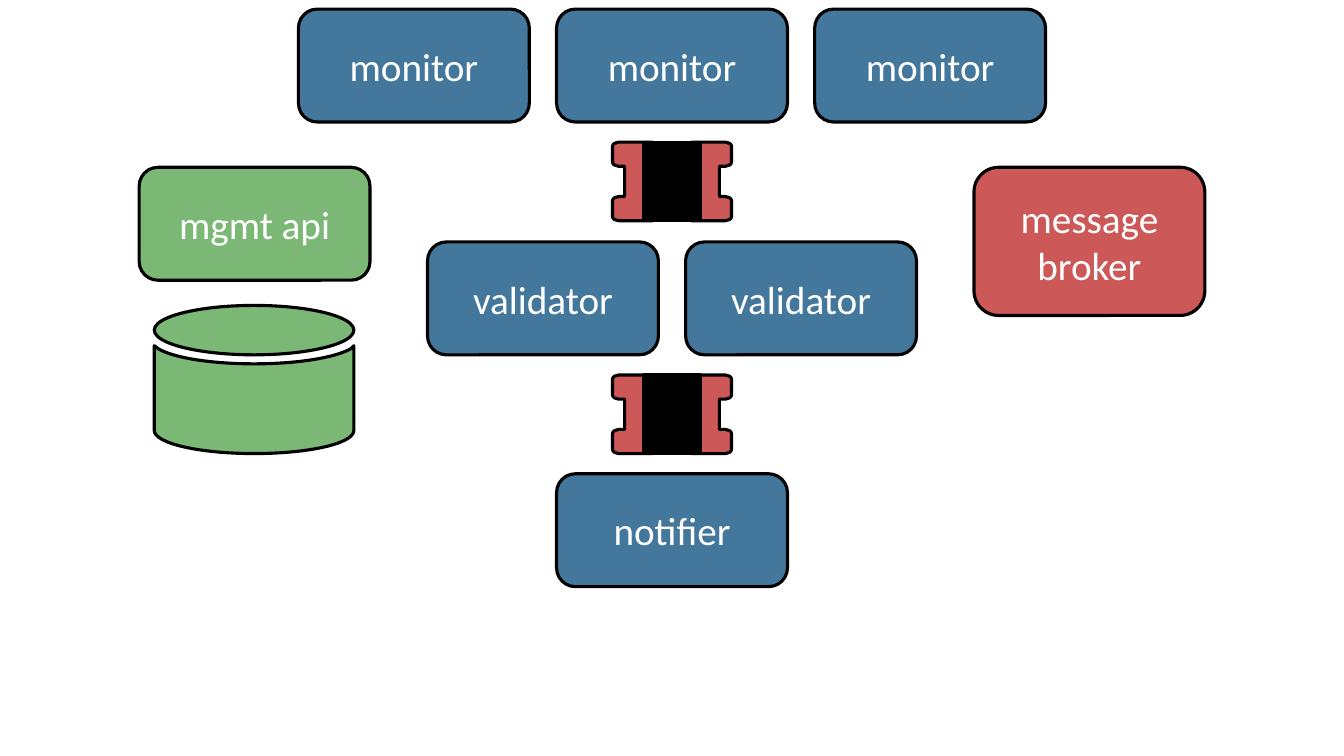
from dataclasses import dataclass

from lxml import etree
from pptx import Presentation
from pptx import util as u
from pptx.dml.color import RGBColor
from pptx.enum import shapes, text
from pptx.oxml import ns

Point = tuple[float, float]


@dataclass(frozen=True)
class Theme:
    blue: str = "43779B"
    green: str = "7BB876"
    red: str = "CC5858"
    black: str = "000000"
    white: str = "FFFFFF"
    font: str = "Calibri"
    text_size: int = 28
    line_width: float = 2.25


@dataclass(frozen=True)
class Node:
    label: str
    left: float
    top: float
    color: str
    height: float = 1.12


@dataclass(frozen=True)
class Tier:
    label: str
    count: int
    top: float


@dataclass(frozen=True)
class Contour:
    points: list[Point]
    segment_sizes: list[int]

    def placed(self, left: float, top: float, side: int = 1) -> "Contour":
        points = [(left + side * x, top + y) for x, y in self.points]
        return Contour(points, self.segment_sizes)


THEME = Theme()
SLIDE_WIDTH = 13.33
CENTER = SLIDE_WIDTH / 2
NODE_WIDTH = 2.29
NODE_PITCH = 2.56
QUEUE_OFFSET = 1.71

TIERS = [
    Tier("monitor", 3, 0.09),
    Tier("validator", 2, 2.4),
    Tier("notifier", 1, 4.7),
]
SIDE_NODES = [
    Node("mgmt api", 1.38, 1.66, THEME.green),
    Node("message broker", 9.66, 1.66, THEME.red, 1.47),
]

FLANGE_TOP = [
    (0.19, -0.39), (0.53, -0.39),
    (0.56, -0.39), (0.59, -0.37), (0.59, -0.35),
    (0.59, -0.19),
    (0.59, -0.17), (0.56, -0.15), (0.53, -0.15),
    (0.47, -0.15),
]
FLANGE = Contour(
    FLANGE_TOP + [(x, -y) for x, y in reversed(FLANGE_TOP)],
    [1, 3, 1, 3, 1, 1, 1, 3, 1, 3, 1],
)
DATABASE_WALL = Contour(
    [
        (1.98, 0.4), (1.98, 1.24),
        (1.98, 1.37), (1.54, 1.47), (0.99, 1.47),
        (0.45, 1.47), (0, 1.37), (0, 1.24),
        (0, 0.4), (0.04, 0.43),
        (0.19, 0.52), (0.56, 0.58), (0.99, 0.58),
        (1.42, 0.58), (1.79, 0.52), (1.95, 0.43),
    ],
    [1, 3, 3, 1, 1, 3, 3],
)


def paint(shape, color: str) -> None:
    shape.shadow.inherit = False
    shape.fill.solid()
    shape.fill.fore_color.rgb = RGBColor.from_string(color)
    shape.line.color.rgb = RGBColor.from_string(THEME.black)
    shape.line.width = u.Pt(THEME.line_width)


def add_preset(page, kind, left: float, top: float, width: float, height: float, color: str):
    shape = page.shapes.add_shape(
        kind, u.Inches(left), u.Inches(top), u.Inches(width), u.Inches(height)
    )
    paint(shape, color)
    return shape


def curve_segments(shape, sizes: list[int]) -> None:
    steps = iter(list(shape.element.iter(ns.qn("a:lnTo"))))
    for size in sizes:
        group = [next(steps) for _ in range(size)]
        if size == 3:
            curve = etree.SubElement(group[0].getparent(), ns.qn("a:cubicBezTo"))
            group[0].addprevious(curve)
            for step in group:
                curve.append(step[0])
                step.getparent().remove(step)


def add_outline(page, contours: list[Contour], color: str) -> None:
    outlines = [[(u.Inches(x), u.Inches(y)) for x, y in item.points] for item in contours]
    builder = page.shapes.build_freeform(*outlines[0][0], scale=1.0)
    for index, points in enumerate(outlines):
        if index:
            builder.move_to(*points[0])
        builder.add_line_segments(points[1:], close=True)
    shape = builder.convert_to_shape()
    curve_segments(shape, [size for item in contours for size in item.segment_sizes])
    paint(shape, color)


def add_node(page, node: Node) -> None:
    box = add_preset(
        page, shapes.MSO_SHAPE.ROUNDED_RECTANGLE,
        node.left, node.top, NODE_WIDTH, node.height, node.color,
    )
    frame = box.text_frame
    frame.text = node.label
    frame.word_wrap = True
    frame.vertical_anchor = text.MSO_ANCHOR.MIDDLE
    para = frame.paragraphs[0]
    para.alignment = text.PP_ALIGN.CENTER
    span = para.runs[0]
    span.font.name = THEME.font
    span.font.size = u.Pt(THEME.text_size)
    span.font.color.rgb = RGBColor.from_string(THEME.white)


def add_tier(page, tier: Tier) -> None:
    first = CENTER - (NODE_WIDTH + NODE_PITCH * (tier.count - 1)) / 2
    for index in range(tier.count):
        add_node(page, Node(tier.label, first + index * NODE_PITCH, tier.top, THEME.blue))


def add_queue(page, middle: float) -> None:
    add_outline(page, [FLANGE.placed(CENTER, middle, side) for side in (1, -1)], THEME.red)
    add_preset(
        page, shapes.MSO_SHAPE.RECTANGLE, CENTER - 0.28, middle - 0.39, 0.56, 0.78, THEME.black
    )


def add_database(page, left: float, top: float) -> None:
    add_outline(page, [DATABASE_WALL.placed(left, top)], THEME.green)
    add_preset(page, shapes.MSO_SHAPE.OVAL, left, top, 1.98, 0.49, THEME.green)


def main() -> None:
    deck = Presentation()
    deck.slide_width = u.Inches(SLIDE_WIDTH)
    deck.slide_height = u.Inches(7.5)
    page = deck.slides.add_slide(deck.slide_layouts[6])
    for tier in TIERS:
        add_tier(page, tier)
    for tier in TIERS[:-1]:
        add_queue(page, tier.top + QUEUE_OFFSET)
    add_database(page, 1.53, 3.03)
    for node in SIDE_NODES:
        add_node(page, node)
    deck.save("out.pptx")


main()
